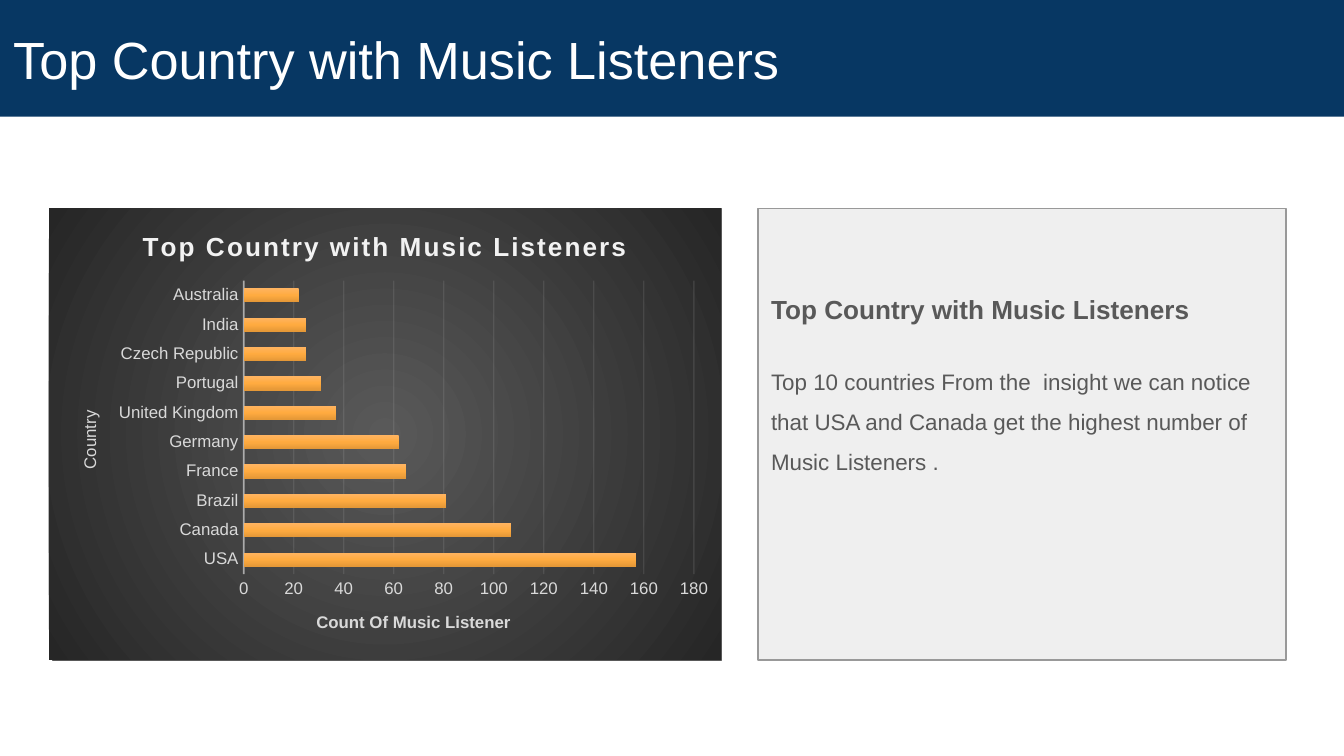
from lxml import etree
from pptx import Presentation
from pptx.chart.data import CategoryChartData
from pptx.dml.color import RGBColor
from pptx.enum.chart import XL_CHART_TYPE as ChartType, XL_TICK_MARK as TickMark
from pptx.enum.shapes import MSO_SHAPE as Shape
from pptx.enum.text import MSO_ANCHOR as Anchor, PP_ALIGN as Align
from pptx.oxml import parse_xml
from pptx.oxml.ns import nsdecls, qn
from pptx.util import Pt

NAVY = RGBColor(0x07, 0x37, 0x63)
WHITE = RGBColor(0xFF, 0xFF, 0xFF)
PANEL = RGBColor(0xEF, 0xEF, 0xEF)
BACKING = RGBColor(0xEE, 0xEE, 0xEE)
BORDER = RGBColor(0x99, 0x99, 0x99)
GREY = RGBColor(0x59, 0x59, 0x59)
DARK = RGBColor(0x26, 0x26, 0x26)
PALE = RGBColor(0xF2, 0xF2, 0xF2)
LABEL = RGBColor(0xD9, 0xD9, 0xD9)
ORANGES = [(0, RGBColor(0xFF, 0xB4, 0x61)), (50, RGBColor(0xFF, 0xAB, 0x40)),
           (100, RGBColor(0xE5, 0x98, 0x37))]

HEADING = "Top Country with Music Listeners"
LISTENERS = {
    "USA": 157, "Canada": 107, "Brazil": 81, "France": 65, "Germany": 62,
    "United Kingdom": 37, "Portugal": 31, "Czech Republic": 25, "India": 25,
    "Australia": 22,
}
CENTRE_PATH = ('<a:path path="circle"><a:fillToRect l="50000" t="50000" '
               'r="50000" b="50000"/></a:path>')
DOWNWARD = '<a:lin ang="5400000" scaled="0"/>'


def gradient(stops, direction):
    stop_xml = "".join(
        f'<a:gs pos="{position * 1000}"><a:srgbClr val="{color}"/></a:gs>'
        for position, color in stops)
    return (f'<a:gradFill {nsdecls("a")}><a:gsLst>{stop_xml}</a:gsLst>'
            f'{direction}</a:gradFill>')


class SlideBuilder:
    font_name = "Arial"

    def __init__(self, slide):
        self.slide = slide

    def style_font(self, font, size, color, bold=False):
        font.name, font.size, font.bold = self.font_name, Pt(size), bold
        font.color.rgb = color

    def box(self, left, top, width, height, fill, line=None):
        shape = self.slide.shapes.add_shape(
            Shape.RECTANGLE, Pt(left), Pt(top), Pt(width), Pt(height))
        shape.shadow.inherit = False
        shape.fill.solid()
        shape.fill.fore_color.rgb = fill
        if line is None:
            shape.line.fill.background()
        else:
            shape.line.color.rgb = line
            shape.line.width = Pt(0.75)
        return shape

    def text(self, shape, paragraphs, color, anchor=Anchor.TOP, top_inset=7.2):
        """Each paragraph is (text, size, bold, line spacing, space after)."""
        frame = shape.text_frame
        frame.word_wrap = True
        frame.vertical_anchor = anchor
        frame.margin_left = frame.margin_right = frame.margin_bottom = Pt(7.2)
        frame.margin_top = Pt(top_inset)
        frame.text = "\n".join(item[0] for item in paragraphs)
        for paragraph, item in zip(frame.paragraphs, paragraphs):
            _, size, bold, spacing, after = item
            paragraph.alignment = Align.LEFT
            paragraph.line_spacing = spacing
            paragraph.space_after = Pt(after)
            self.style_font(paragraph.runs[0].font, size, color, bold)

    def chart_title(self, owner, text, size, color, bold=False):
        frame = (owner.chart_title if hasattr(owner, "chart_title")
                 else owner.axis_title).text_frame
        frame.text = text
        run = frame.paragraphs[0].runs[0]
        self.style_font(run.font, size, color, bold)
        return run

    def axis(self, axis, title, bold):
        axis.major_tick_mark = axis.minor_tick_mark = TickMark.NONE
        self.style_font(axis.tick_labels.font, 9, LABEL)
        self.chart_title(axis, title, 9, LABEL, bold)

    def line(self, line, width, opacity):
        line.color.rgb = PALE
        line.width = Pt(width)
        color = line.fill._xPr.find(".//" + qn("a:srgbClr"))
        etree.SubElement(color, qn("a:alpha"), val=str(opacity * 1000))

    def bar_chart(self, left, top, width, height, values):
        data = CategoryChartData()
        data.categories = list(values)
        data.add_series("Series 1", list(values.values()))
        chart = self.slide.shapes.add_chart(
            ChartType.BAR_CLUSTERED, Pt(left), Pt(top), Pt(width), Pt(height),
            data).chart
        chart.has_legend = False
        self.style_font(chart.font, 10, LABEL)
        title = self.chart_title(chart, HEADING, 14, PALE, True)
        title.font._element.set("spc", "100")
        chart.chart_title.include_in_layout = False

        # Axes and gridlines
        categories, counts = chart.category_axis, chart.value_axis
        self.axis(categories, "Country", False)
        self.axis(counts, "Count Of Music Listener", True)
        self.line(categories.format.line, 1, 54)
        counts.format.line.fill.background()
        counts.minimum_scale, counts.maximum_scale, counts.major_unit = 0, 180, 20
        self.line(counts.major_gridlines.format.line, 0.75, 10)

        # Bars
        plot = chart.plots[0]
        plot.vary_by_categories = False
        plot.gap_width, plot.overlap = 115, -20
        series = plot.series[0]
        series.format.fill.solid()
        solid = series._element.spPr.find(qn("a:solidFill"))
        solid.getparent().replace(solid, parse_xml(gradient(ORANGES, DOWNWARD)))

        # Background and plot area position
        backdrop = gradient([(0, GREY), (100, DARK)], CENTRE_PATH)
        chart._chartSpace.find(qn("c:chart")).addnext(parse_xml(
            f'<c:spPr {nsdecls("c", "a")}>{backdrop}'
            '<a:ln><a:noFill/></a:ln></c:spPr>'))
        area = chart._chartSpace.find(".//" + qn("c:plotArea"))
        for old in area.findall(qn("c:layout")):
            area.remove(old)
        edges = {"x": 0.29, "y": 0.16, "w": 0.67, "h": 0.65}
        settings = '<c:layoutTarget val="inner"/>'
        settings += '<c:xMode val="edge"/><c:yMode val="edge"/>'
        settings += "".join(f'<c:{key} val="{value}"/>' for key, value in edges.items())
        area.insert(0, parse_xml(
            f'<c:layout {nsdecls("c")}><c:manualLayout>{settings}'
            '</c:manualLayout></c:layout>'))


def main():
    presentation = Presentation()
    presentation.slide_width, presentation.slide_height = Pt(720), Pt(405)
    builder = SlideBuilder(
        presentation.slides.add_slide(presentation.slide_layouts[6]))

    # Insight panel
    panel = builder.box(406, 111.6, 283, 242, PANEL, BORDER)
    builder.text(panel, [
        (HEADING, 14, True, 1.15, 16),
        ("Top 10 countries From the  insight we can notice that USA and Canada "
         "get the highest number of Music Listeners .", 12, False, 1.5, 16),
    ], GREY, top_inset=43)

    # Title band
    band = builder.box(0, 0, 720, 62.6, NAVY)
    builder.text(band, [(HEADING, 28, False, 1, 0)], WHITE, Anchor.MIDDLE)

    # Chart on its backing
    builder.box(28, 111.6, 358.5, 242, BACKING, GREY)
    builder.bar_chart(26.2, 111.6, 360, 242, LISTENERS)

    presentation.save("out.pptx")


if __name__ == "__main__":
    main()
